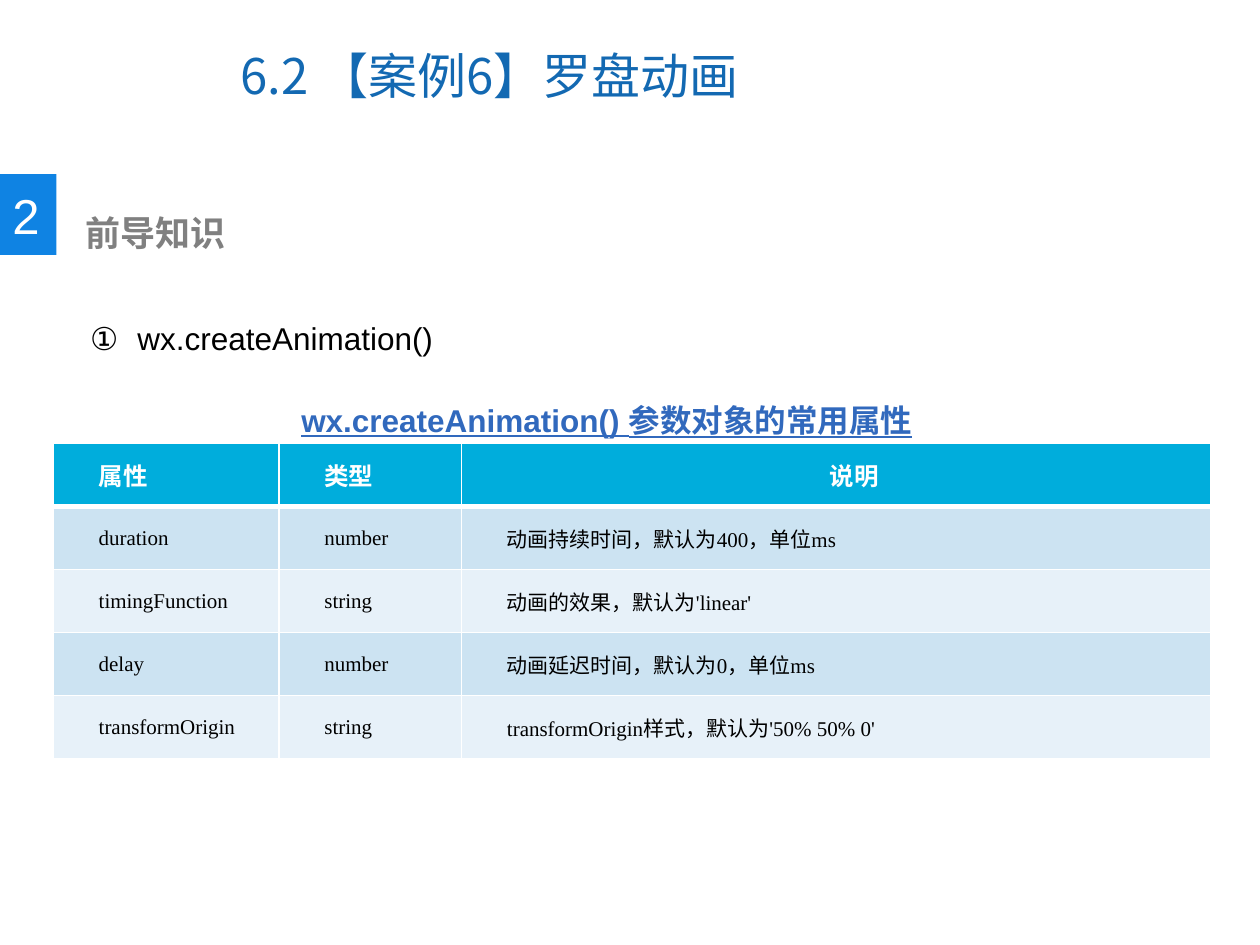
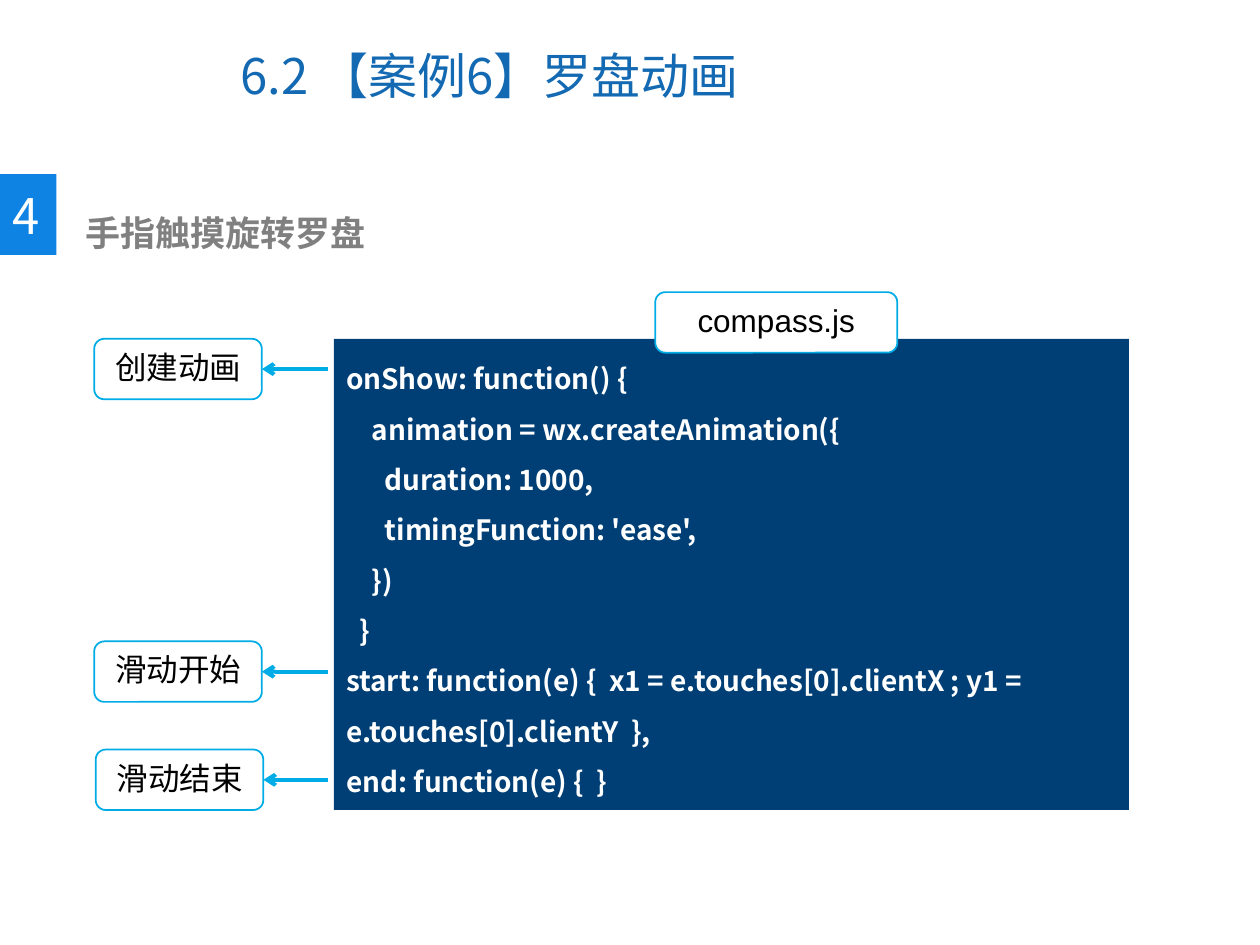
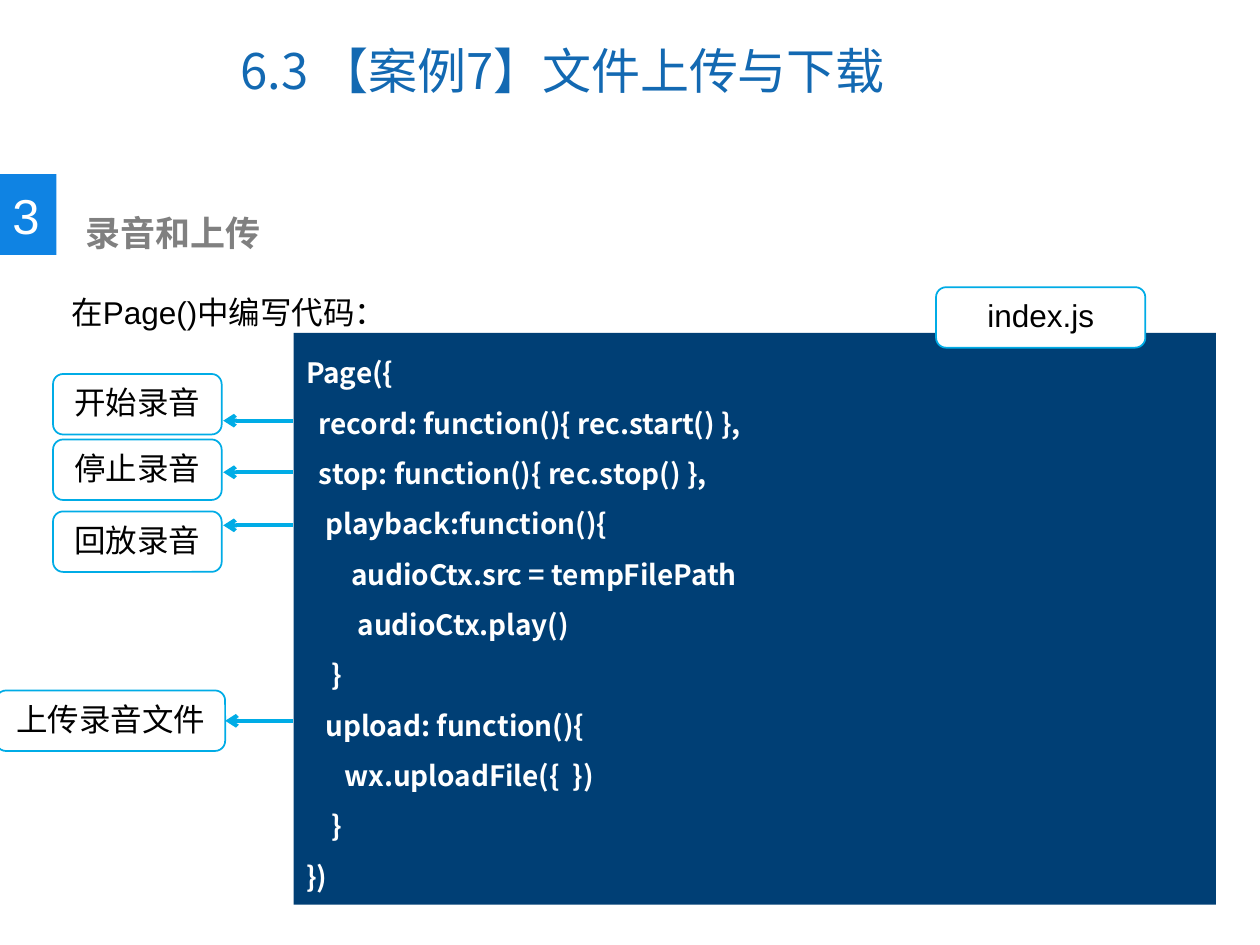
import dataclasses
import typing

import lxml.etree
import pptx
import pptx.dml.color
import pptx.enum.shapes
import pptx.enum.text
import pptx.oxml.ns
import pptx.util

Cm = pptx.util.Cm
Pt = pptx.util.Pt
qn = pptx.oxml.ns.qn
ALIGN = pptx.enum.text.PP_ALIGN
ANCHOR = pptx.enum.text.MSO_ANCHOR
SHAPE = pptx.enum.shapes.MSO_SHAPE

# Shared look
COLORS = {
    "title": "1369B2", "tab": "0F83E3", "subtitle": "808080", "caption": "3169BD",
    "code": "003F75", "accent": "00ACE6", "header": "00ADDC",
    "odd_row": "CCE3F2", "even_row": "E7F1F9", "white": "FFFFFF", "black": "000000",
}
SANS = "Noto Sans CJK SC"
ARIAL = "Arial"
SERIF = "Times New Roman"
CODE_SPACE = 0.13  # width in cm of one space of code indent
LABEL_HEIGHT = 1.22


@dataclasses.dataclass
class Box:
    left: float
    top: float
    width: float
    height: float

    def lengths(self) -> list[int]:
        return [Cm(value) for value in dataclasses.astuple(self)]


@dataclasses.dataclass
class Style:
    size: float
    color: str = "black"
    font: str = ARIAL
    bold: bool = False
    underline: bool = False


@dataclasses.dataclass
class Heading:
    title: str
    number: str
    subtitle: str
    title_width: float = 13.11
    title_spacing: float = 1.0
    number_font: str = ARIAL


@dataclasses.dataclass
class Callout:
    """A label; its arrow joins the right side unless arrow_y is given."""
    text: str
    left: float
    top: float
    width: float
    arrow_y: typing.Optional[float] = None


@dataclasses.dataclass
class CodePanel:
    box: Box
    file_name: str
    file_box: Box
    lines: list[tuple[int, str]]  # indent in spaces, code
    arrow_start: float
    callouts: list[Callout]


LABEL_STYLE = Style(18)
CODE_STYLE = Style(16, "white", SANS, bold=True)
CAPTION_STYLE = Style(18, "caption", bold=True, underline=True)


# Content
COMPASS_TITLE = "6.2 【案例6】罗盘动画"
KNOWLEDGE = Heading(COMPASS_TITLE, "2", "前导知识")
TOUCH = Heading(COMPASS_TITLE, "4", "手指触摸旋转罗盘", number_font=SANS)
RECORDING = Heading("6.3 【案例7】文件上传与下载", "3", "录音和上传",
                    title_width=13.72, title_spacing=0.83)

PROPERTY_COLUMNS = [4.55, 3.68, 15.11]
PROPERTY_ROWS = [
    ("属性", "类型", "说明"),
    ("duration", "number", "动画持续时间，默认为400，单位ms"),
    ("timingFunction", "string", "动画的效果，默认为'linear'"),
    ("delay", "number", "动画延迟时间，默认为0，单位ms"),
    ("transformOrigin", "string", "transformOrigin样式，默认为'50% 50% 0'"),
]

COMPASS_CODE = CodePanel(
    Box(6.73, 6.83, 16.03, 9.5), "compass.js", Box(13.21, 5.89, 4.88, LABEL_HEIGHT),
    [
        (0, "onShow: function() {"),
        (4, "animation = wx.createAnimation({"),
        (6, "duration: 1000,"),
        (6, "timingFunction: 'ease',"),
        (4, "})"),
        (2, "}"),
        (0, "start: function(e) {  x1 = e.touches[0].clientX ; "
            "y1 = e.touches[0].clientY  },"),
        (0, "end: function(e) {  }"),
    ],
    6.62,
    [
        Callout("创建动画", 1.9, 6.83, 3.38),
        Callout("滑动开始", 1.9, 12.93, 3.38),
        Callout("滑动结束", 1.93, 15.11, 3.38),
    ],
)

RECORD_CODE = CodePanel(
    Box(5.92, 6.71, 18.59, 11.53), "index.js", Box(18.87, 5.79, 4.22, LABEL_HEIGHT),
    [
        (0, "Page({"),
        (2, "record: function(){ rec.start() },"),
        (2, "stop: function(){ rec.stop() },"),
        (3, "playback:function(){"),
        (7, "audioCtx.src = tempFilePath"),
        (8, "audioCtx.play()"),
        (4, "}"),
        (3, "upload: function(){"),
        (6, "wx.uploadFile({  })"),
        (4, "}"),
        (0, "})"),
    ],
    5.9,
    [
        Callout("开始录音", 1.07, 7.54, 3.4, arrow_y=8.48),
        Callout("停止录音", 1.07, 8.86, 3.4, arrow_y=9.52),
        Callout("回放录音", 1.07, 10.31, 3.4, arrow_y=10.59),
        Callout("上传录音文件", -0.08, 13.92, 4.62),
    ],
)


# Text and shape helpers
def rgb(name: str) -> pptx.dml.color.RGBColor:
    return pptx.dml.color.RGBColor.from_string(COLORS[name])


def format_paragraph(paragraph, style: Style, align=ALIGN.LEFT, spacing: float = 1.0) -> None:
    paragraph.alignment = align
    paragraph.line_spacing = spacing
    for run in paragraph.runs:
        font = run.font
        font.size = Pt(style.size)
        font.bold = style.bold
        font.underline = style.underline
        font.color.rgb = rgb(style.color)
        font.name = style.font
        lxml.etree.SubElement(run._r.get_or_add_rPr(), qn("a:ea"), typeface=SANS)


def set_indent(paragraph, left: float, first: float = 0) -> None:
    properties = paragraph._p.get_or_add_pPr()
    properties.set("marL", str(Cm(left)))
    properties.set("indent", str(Cm(first)))


def add_text(slide, box: Box, text: str, style: Style, align=ALIGN.LEFT,
             spacing: float = 1.0, anchor=ANCHOR.TOP, wrap: bool = True):
    shape = slide.shapes.add_textbox(*box.lengths())
    text_frame = shape.text_frame
    text_frame.word_wrap = wrap
    text_frame.vertical_anchor = anchor
    text_frame.text = text
    format_paragraph(text_frame.paragraphs[0], style, align, spacing)
    return shape


def add_block(slide, kind, box: Box, fill: str, line: typing.Optional[str] = None):
    shape = slide.shapes.add_shape(kind, *box.lengths())
    shape.shadow.inherit = False
    shape.fill.solid()
    shape.fill.fore_color.rgb = rgb(fill)
    if line:
        shape.line.color.rgb = rgb(line)
        shape.line.width = Pt(1)
    else:
        shape.line.fill.background()
    shape.text_frame.word_wrap = True
    shape.text_frame.vertical_anchor = ANCHOR.TOP
    return shape


def add_label(slide, box: Box, text: str):
    shape = add_block(slide, SHAPE.ROUNDED_RECTANGLE, box, "white", "accent")
    shape.text_frame.text = text
    format_paragraph(shape.text_frame.paragraphs[0], LABEL_STYLE, ALIGN.CENTER)
    return shape


def add_callout(slide, callout: Callout, arrow_start: float) -> None:
    label = add_label(
        slide, Box(callout.left, callout.top, callout.width, LABEL_HEIGHT), callout.text)
    joined = callout.arrow_y is None
    y = label.top + label.height // 2 if joined else Cm(callout.arrow_y)
    arrow = slide.shapes.add_connector(
        pptx.enum.shapes.MSO_CONNECTOR.STRAIGHT, Cm(arrow_start), y, Cm(4.5), y)
    if joined:
        arrow.end_connect(label, 3)
    arrow.line.color.rgb = rgb("accent")
    arrow.line.width = Pt(2.25)
    lxml.etree.SubElement(arrow.line._get_or_add_ln(), qn("a:tailEnd"), type="arrow")
    lxml.etree.SubElement(arrow._element.spPr, qn("a:effectLst"))


def add_code_panel(slide, panel: CodePanel) -> None:
    shape = add_block(slide, SHAPE.RECTANGLE, panel.box, "code")
    text_frame = shape.text_frame
    text_frame.text = "\n".join(code for _, code in panel.lines)
    for paragraph, (spaces, _) in zip(text_frame.paragraphs, panel.lines):
        format_paragraph(paragraph, CODE_STYLE, spacing=1.5)
        set_indent(paragraph, spaces * CODE_SPACE)
    add_label(slide, panel.file_box, panel.file_name)
    for callout in panel.callouts:
        add_callout(slide, callout, panel.arrow_start)


# Property table
def set_borders(cell, widths: dict[str, float]) -> None:
    properties = cell._tc.get_or_add_tcPr()
    for side, width in widths.items():
        line = lxml.etree.SubElement(properties, qn(f"a:ln{side}"), w=str(Pt(width)))
        fill = lxml.etree.SubElement(line, qn("a:solidFill"))
        lxml.etree.SubElement(fill, qn("a:srgbClr"), val=COLORS["white"])


def add_property_table(slide) -> None:
    box = Box(1.07, 8.94, sum(PROPERTY_COLUMNS), 1.27 * len(PROPERTY_ROWS))
    table = slide.shapes.add_table(
        len(PROPERTY_ROWS), len(PROPERTY_COLUMNS), *box.lengths()).table
    for column, width in zip(table.columns, PROPERTY_COLUMNS):
        column.width = Cm(width)
    for row_index, row in enumerate(PROPERTY_ROWS):
        header = row_index == 0
        style = Style(14, "white", SERIF, bold=True) if header else Style(12, font=SERIF)
        fill = "header" if header else "odd_row" if row_index % 2 else "even_row"
        borders = {"L": 1, "R": 1, "T": 3 if row_index == 1 else 1, "B": 3 if header else 1}
        for column_index, text in enumerate(row):
            cell = table.cell(row_index, column_index)
            set_borders(cell, borders)
            cell.fill.solid()
            cell.fill.fore_color.rgb = rgb(fill)
            cell.vertical_anchor = ANCHOR.MIDDLE
            cell.margin_left = cell.margin_right = Cm(0.18)
            cell.margin_top = cell.margin_bottom = 0
            cell.text_frame.text = text
            paragraph = cell.text_frame.paragraphs[0]
            centred = header and column_index == len(row) - 1
            format_paragraph(paragraph, style, ALIGN.CENTER if centred else ALIGN.LEFT)
            set_indent(paragraph, 0, 0.74)


# Slides
def add_slide(presentation, heading: Heading):
    slide = presentation.slides.add_slide(presentation.slide_layouts[6])
    add_text(slide, Box(4.6, 0.43, heading.title_width, 2.16), heading.title,
             Style(28, "title", SANS), spacing=heading.title_spacing, anchor=ANCHOR.MIDDLE)
    add_block(slide, SHAPE.RECTANGLE, Box(0, 3.51, 1.14, 1.63), "tab")
    add_text(slide, Box(0, 3.61, 1.07, 1.45), heading.number,
             Style(28, "white", heading.number_font), wrap=False)
    subtitle = add_text(slide, Box(1.19, 4.14, 13.06, 1.12), heading.subtitle,
                        Style(20, "subtitle", bold=True))
    subtitle.text_frame.margin_left = Cm(0.53)
    return slide


def build_knowledge(presentation) -> None:
    slide = add_slide(presentation, KNOWLEDGE)
    item = add_text(slide, Box(1.57, 5.54, 21.97, 1.55), "wx.createAnimation()",
                    LABEL_STYLE, spacing=2.0)
    paragraph = item.text_frame.paragraphs[0]
    set_indent(paragraph, 0.95, -0.95)
    lxml.etree.SubElement(
        paragraph._p.get_or_add_pPr(), qn("a:buAutoNum"), type="circleNumDbPlain")
    add_text(slide, Box(1.5, 7.19, 21.46, 1.8), "wx.createAnimation() 参数对象的常用属性",
             CAPTION_STYLE, ALIGN.CENTER, spacing=2.0)
    add_property_table(slide)


def build_touch(presentation) -> None:
    add_code_panel(add_slide(presentation, TOUCH), COMPASS_CODE)


def build_recording(presentation) -> None:
    slide = add_slide(presentation, RECORDING)
    add_code_panel(slide, RECORD_CODE)
    add_text(slide, Box(1.19, 5.03, 21.97, 1.8), "在Page()中编写代码：",
             LABEL_STYLE, spacing=2.0)


def main() -> None:
    presentation = pptx.Presentation()
    presentation.slide_width = Cm(25.4)
    presentation.slide_height = Cm(19.05)
    build_knowledge(presentation)
    build_touch(presentation)
    build_recording(presentation)
    presentation.save("out.pptx")


if __name__ == "__main__":
    main()
